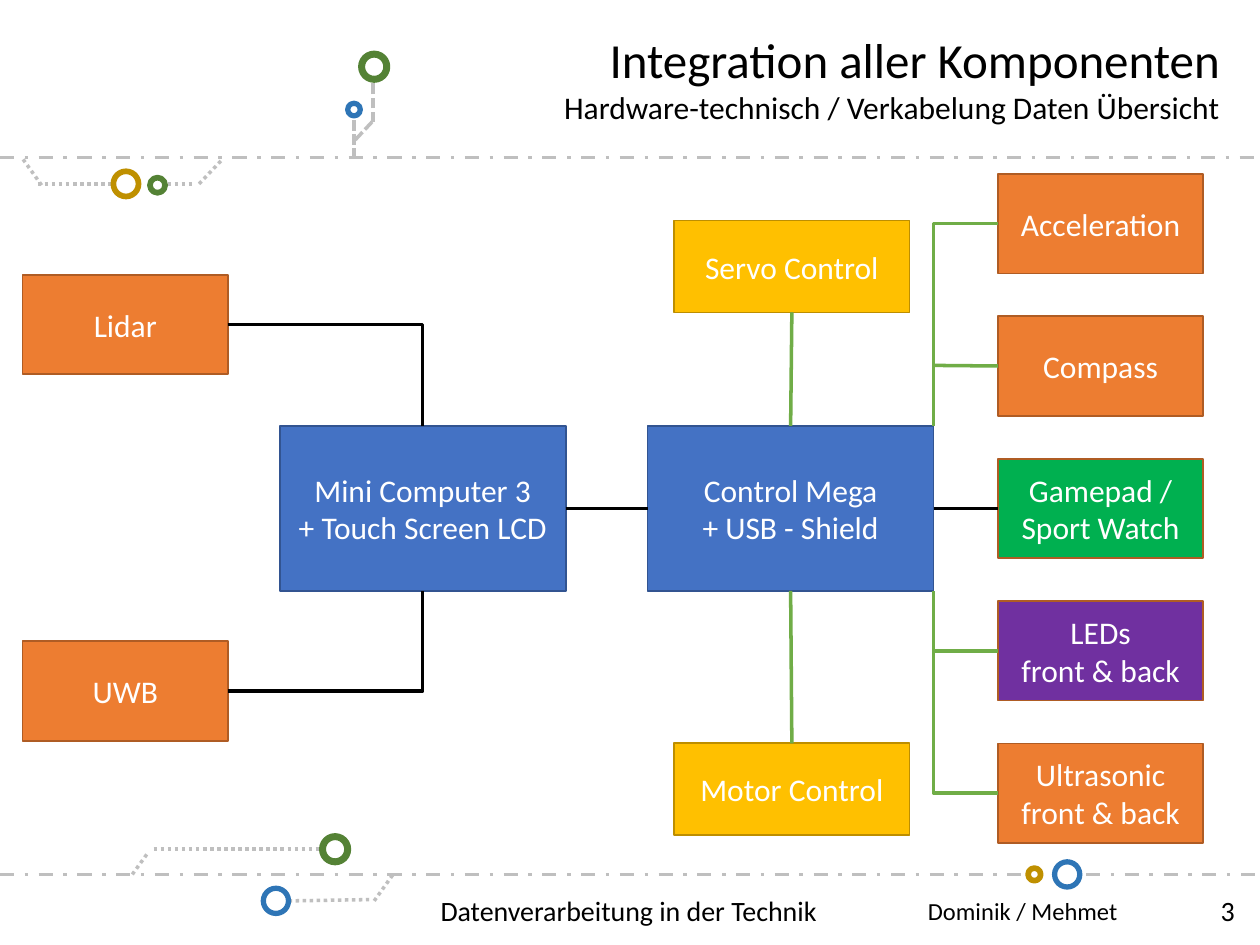
from pptx import Presentation
from pptx.dml.color import RGBColor
from pptx.enum.dml import MSO_LINE
from pptx.enum.shapes import MSO_CONNECTOR as CONNECTOR, MSO_SHAPE as SHAPE
from pptx.enum.text import MSO_ANCHOR as ANCHOR, PP_ALIGN as ALIGN
from pptx.oxml.ns import qn
from pptx.util import Inches, Pt
from lxml import etree

COLORS = {
    "black": "000000", "white": "FFFFFF", "gray": "BFBFBF",
    "wire": "70AD47", "ring_blue": "2E75B6", "ring_gold": "BF9000",
    "ring_green": "548235", "blue": "4472C4", "blue_edge": "325491",
    "yellow": "FFC000", "yellow_edge": "BD8E00", "orange": "ED7D31",
    "orange_edge": "AF5C24", "purple": "7030A0", "green": "00B050",
}
FONT = "Calibri"
TOP, LEFT, BOTTOM, RIGHT = range(4)

# Circuit decoration: dash style -> x1, y1, x2, y2
TRACES = {
    MSO_LINE.DASH_DOT: [(0, 1.25, 10, 1.25), (0, 6.94, 8.16, 6.94),
                        (8.62, 6.94, 9.98, 6.94)],
    MSO_LINE.ROUND_DOT: [(1.22, 6.74, 2.57, 6.74), (1.05, 6.94, 1.18, 6.76),
                         (2.97, 7.15, 3.12, 6.94), (2.29, 7.15, 2.93, 7.14),
                         (1.58, 1.46, 1.77, 1.26), (1.33, 1.46, 1.55, 1.46),
                         (0.3, 1.46, 0.91, 1.46), (0.33, 1.47, 0.18, 1.26)],
    MSO_LINE.SQUARE_DOT: [(2.81, 1.26, 2.81, 0.9), (2.82, 1.11, 2.96, 0.96),
                          (2.96, 0.97, 2.96, 0.64)],
}
# left, top, diameter, color, line width
RINGS = [
    (8.37, 6.84, 0.2, "ring_blue", 3), (8.16, 6.89, 0.1, "ring_gold", 3.25),
    (2.56, 6.64, 0.2, "ring_green", 4), (2.09, 7.05, 0.2, "ring_blue", 3),
    (1.19, 1.41, 0.12, "ring_green", 3.25), (0.9, 1.36, 0.2, "ring_gold", 3.25),
    (2.76, 0.82, 0.1, "ring_blue", 3), (2.87, 0.43, 0.2, "ring_green", 4),
]
# left, top, width, height, alignment, lines of (text, size)
TEXTS = [
    (3.19, 0.14, 6.49, 0.95, ALIGN.RIGHT,
     [("Integration aller Komponenten", 28),
      ("Hardware-technisch / Verkabelung Daten Übersicht", 18)]),
    (0, 6.95, 9.98, 0.55, ALIGN.CENTER, [("Datenverarbeitung in der Technik", 16)]),
    (0, 6.95, 8.87, 0.55, ALIGN.RIGHT, [("Dominik / Mehmet", 14)]),
    (0, 6.95, 9.8, 0.55, ALIGN.RIGHT, [("3", 16)]),
]
# Box kinds: width, height, edge color
KINDS = {"board": (2.27, 1.31, "blue_edge"), "drive": (1.87, 0.73, "yellow_edge"),
         "device": (1.63, 0.79, "orange_edge")}
DEVICE_LEFT, DEVICE_TOP, DEVICE_STEP = 7.92, 1.38, 1.13
DEVICES = [
    ("acceleration", "orange", ["Acceleration"]),
    ("compass", "orange", ["Compass"]),
    ("remote", "green", ["Gamepad /", "Sport Watch"]),
    ("leds", "purple", ["LEDs", "front & back"]),
    ("ultrasonic", "orange", ["Ultrasonic front & back"]),
]
# name, kind, left, top, fill, lines
BOXES = [
    ("computer", "board", 2.22, 3.38, "blue", ["Mini Computer 3", "+ Touch Screen LCD"]),
    ("controller", "board", 5.14, 3.38, "blue", ["Control Mega", "+ USB - Shield"]),
    ("servo", "drive", 5.35, 1.75, "yellow", ["Servo Control"]),
    ("motor", "drive", 5.35, 5.9, "yellow", ["Motor Control"]),
    ("lidar", "device", 0.18, 2.18, "orange", ["Lidar"]),
    ("uwb", "device", 0.18, 5.09, "orange", ["UWB"]),
] + [(name, "device", DEVICE_LEFT, DEVICE_TOP + i * DEVICE_STEP, fill, lines)
     for i, (name, fill, lines) in enumerate(DEVICES)]
# from box, side, to box, side, color, connector type
LINKS = [
    ("lidar", RIGHT, "computer", TOP, "black", CONNECTOR.ELBOW),
    ("uwb", RIGHT, "computer", BOTTOM, "black", CONNECTOR.ELBOW),
    ("computer", RIGHT, "controller", LEFT, "black", CONNECTOR.STRAIGHT),
    ("controller", RIGHT, "remote", LEFT, "black", CONNECTOR.STRAIGHT),
    ("servo", BOTTOM, "controller", TOP, "wire", CONNECTOR.STRAIGHT),
    ("controller", BOTTOM, "motor", TOP, "wire", CONNECTOR.STRAIGHT),
]
# device, y of its wire's end on the controller's right edge, connector type
BUS = [
    ("acceleration", 3.38, CONNECTOR.ELBOW),
    ("compass", 2.9, CONNECTOR.STRAIGHT),
    ("leds", 4.69, CONNECTOR.ELBOW),
    ("ultrasonic", 4.69, CONNECTOR.ELBOW),
]
BUS_X = 7.41


def rgb(name):
    return RGBColor.from_string(COLORS[name])


def style_line(line, color, width):
    line.color.rgb = rgb(color)
    line.width = Pt(width)


def add_line(slide, points, color, kind=CONNECTOR.STRAIGHT, dash=None):
    connector = slide.shapes.add_connector(kind, *map(Inches, points))
    style_line(connector.line, color, 2)
    if dash is not None:
        connector.line.dash_style = dash
    properties = connector._element.spPr
    if kind == CONNECTOR.ELBOW:  # one bend: across, then up or down
        properties.find(qn("a:prstGeom")).set("prst", "bentConnector2")
    etree.SubElement(properties, qn("a:effectLst"))
    return connector


def write(frame, lines, align, color):
    frame.word_wrap = True
    frame.vertical_anchor = ANCHOR.MIDDLE
    for i, (text, size) in enumerate(lines):
        paragraph = frame.add_paragraph() if i else frame.paragraphs[0]
        paragraph.text = text
        paragraph.alignment = align
        paragraph.font.name = FONT
        paragraph.font.size = Pt(size)
        paragraph.font.color.rgb = rgb(color)


def add_text(slide, left, top, width, height, align, lines):
    frame = slide.shapes.add_textbox(*map(Inches, (left, top, width, height))).text_frame
    frame.margin_left = frame.margin_right = frame.margin_top = frame.margin_bottom = 0
    write(frame, lines, align, "black")


def add_box(slide, kind, left, top, fill, lines):
    width, height, edge = KINDS[kind]
    shape = slide.shapes.add_shape(
        SHAPE.RECTANGLE, *map(Inches, (left, top, width, height)))
    shape.shadow.inherit = False
    shape.fill.solid()
    shape.fill.fore_color.rgb = rgb(fill)
    style_line(shape.line, edge, 1)
    write(shape.text_frame, [(text, 18) for text in lines], ALIGN.CENTER, "white")
    return shape


def main():
    presentation = Presentation()
    presentation.slide_width, presentation.slide_height = Inches(10), Inches(7.5)
    slide = presentation.slides.add_slide(presentation.slide_layouts[6])

    # Circuit decoration
    for dash, traces in TRACES.items():
        for points in traces:
            add_line(slide, points, "gray", dash=dash)
    for left, top, diameter, color, width in RINGS:
        ring = slide.shapes.add_shape(
            SHAPE.OVAL, *map(Inches, (left, top, diameter, diameter)))
        ring.shadow.inherit = False
        ring.fill.background()
        style_line(ring.line, color, width)

    # Title and footer
    for text in TEXTS:
        add_text(slide, *text)

    # Components
    boxes = {name: add_box(slide, *rest) for name, *rest in BOXES}

    # Wiring between components
    for start, start_side, end, end_side, color, kind in LINKS:
        connector = add_line(slide, (0, 0, 0, 0), color, kind)
        connector.begin_connect(boxes[start], start_side)
        connector.end_connect(boxes[end], end_side)

    # Wires from the devices to the controller's edge
    for name, end_y, kind in BUS:
        connector = add_line(slide, (DEVICE_LEFT, end_y, BUS_X, end_y), "wire", kind)
        connector.begin_connect(boxes[name], LEFT)

    presentation.save("out.pptx")


if __name__ == "__main__":
    main()
